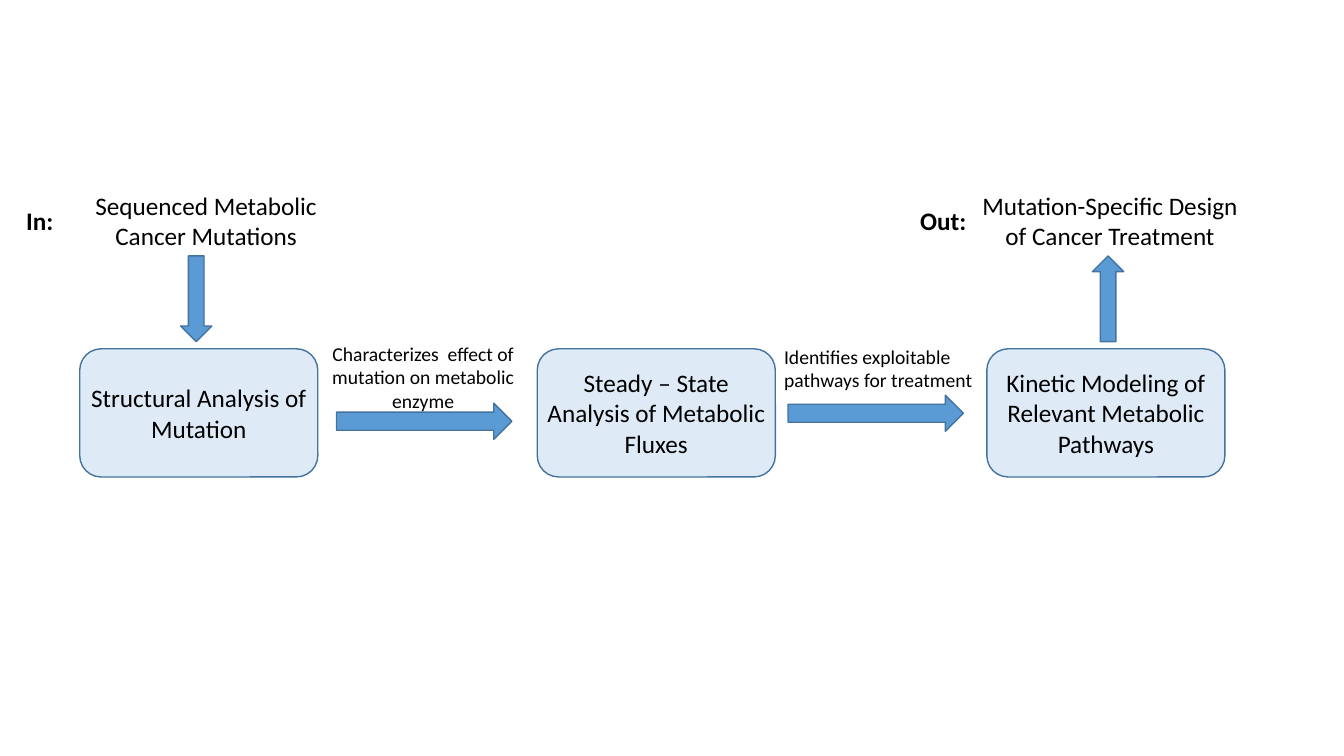
from dataclasses import dataclass

from pptx import Presentation
from pptx.dml.color import RGBColor
from pptx.enum.shapes import MSO_SHAPE as SHAPE
from pptx.enum.text import MSO_ANCHOR as ANCHOR, MSO_AUTO_SIZE as AUTO_SIZE, PP_ALIGN as ALIGN
from pptx.util import Cm, Pt


@dataclass(frozen=True)
class Theme:
    font: str = "Calibri"
    text: RGBColor = RGBColor(0x00, 0x00, 0x00)
    box: RGBColor = RGBColor(0xDE, 0xEB, 0xF7)
    arrow: RGBColor = RGBColor(0x5B, 0x9B, 0xD5)
    outline: RGBColor = RGBColor(0x43, 0x73, 0x9E)
    outline_width: Pt = Pt(1)
    body_size: Pt = Pt(18)
    note_size: Pt = Pt(14)


class FlowSlide:
    STEP_SIZE = (6, 3.23)
    STEP_TOP = 8.79
    VERTICAL_ARROW = (0.79, 2.16)
    RIGHT_ARROW = (4.42, 0.91)

    def __init__(self, slide, theme):
        self.slide = slide
        self.theme = theme

    def _shape(self, kind, left, top, size, fill):
        sp = self.slide.shapes.add_shape(kind, Cm(left), Cm(top), *map(Cm, size))
        sp.shadow.inherit = False
        sp.fill.solid()
        sp.fill.fore_color.rgb = fill
        sp.line.color.rgb = self.theme.outline
        sp.line.width = self.theme.outline_width
        return sp

    def _write(self, tf, text, size, align, bold=False):
        p = tf.paragraphs[0]
        p.text = text
        p.alignment = align
        p.font.name = self.theme.font
        p.font.size = size
        p.font.bold = bold
        p.font.color.rgb = self.theme.text

    def step(self, left, text):
        sp = self._shape(SHAPE.ROUNDED_RECTANGLE, left, self.STEP_TOP, self.STEP_SIZE, self.theme.box)
        tf = sp.text_frame
        tf.word_wrap = True
        tf.vertical_anchor = ANCHOR.MIDDLE
        tf.margin_left = tf.margin_right = Cm(0.08)
        self._write(tf, text, self.theme.body_size, ALIGN.CENTER)

    def vertical_arrow(self, kind, left):
        self._shape(kind, left, 6.45, self.VERTICAL_ARROW, self.theme.arrow)

    def right_arrow(self, left, top):
        self._shape(SHAPE.RIGHT_ARROW, left, top, self.RIGHT_ARROW, self.theme.arrow)

    def text(self, left, top, width, height, text, size, align=ALIGN.CENTER, bold=False, wrap=True):
        tb = self.slide.shapes.add_textbox(Cm(left), Cm(top), Cm(width), Cm(height))
        tf = tb.text_frame
        tf.word_wrap = wrap
        tf.auto_size = AUTO_SIZE.SHAPE_TO_FIT_TEXT
        self._write(tf, text, size, align, bold)

    def endpoint(self, left, width, text):
        """Describe what enters or leaves the pipeline."""
        self.text(left, 4.67, width, 1.8, text, self.theme.body_size)

    def tag(self, left, width, text):
        """Add the bold label beside an endpoint."""
        self.text(left, 5.05, width, 1.02, text, self.theme.body_size, ALIGN.LEFT, bold=True, wrap=False)

    def note(self, left, top, width, height, text, align):
        """Caption the arrow between two steps."""
        self.text(left, top, width, height, text, self.theme.note_size, align)


def main():
    prs = Presentation()
    prs.slide_width, prs.slide_height = Cm(33.87), Cm(19.05)
    flow = FlowSlide(prs.slides.add_slide(prs.slide_layouts[6]), Theme())

    for left, text in (
        (2.01, "Structural Analysis of Mutation"),
        (13.54, "Steady – State Analysis of Metabolic Fluxes"),
        (24.87, "Kinetic Modeling of Relevant Metabolic Pathways"),
    ):
        flow.step(left, text)

    flow.tag(0.41, 1.19, "In:")
    flow.endpoint(1.93, 6.53, "Sequenced Metabolic Cancer Mutations")
    flow.vertical_arrow(SHAPE.DOWN_ARROW, 4.55)

    flow.right_arrow(8.48, 10.16)
    flow.note(7.67, 8.48, 5.99, 2.06, "Characterizes  effect of mutation on metabolic enzyme", ALIGN.CENTER)
    flow.right_arrow(19.86, 9.96)
    flow.note(19.51, 8.56, 5.33, 1.45, "Identifies exploitable pathways for treatment", ALIGN.LEFT)

    flow.vertical_arrow(SHAPE.UP_ARROW, 27.53)
    flow.endpoint(24.23, 7.49, "Mutation-Specific Design of Cancer Treatment")
    flow.tag(22.94, 1.68, "Out:")

    prs.save("out.pptx")


if __name__ == "__main__":
    main()
